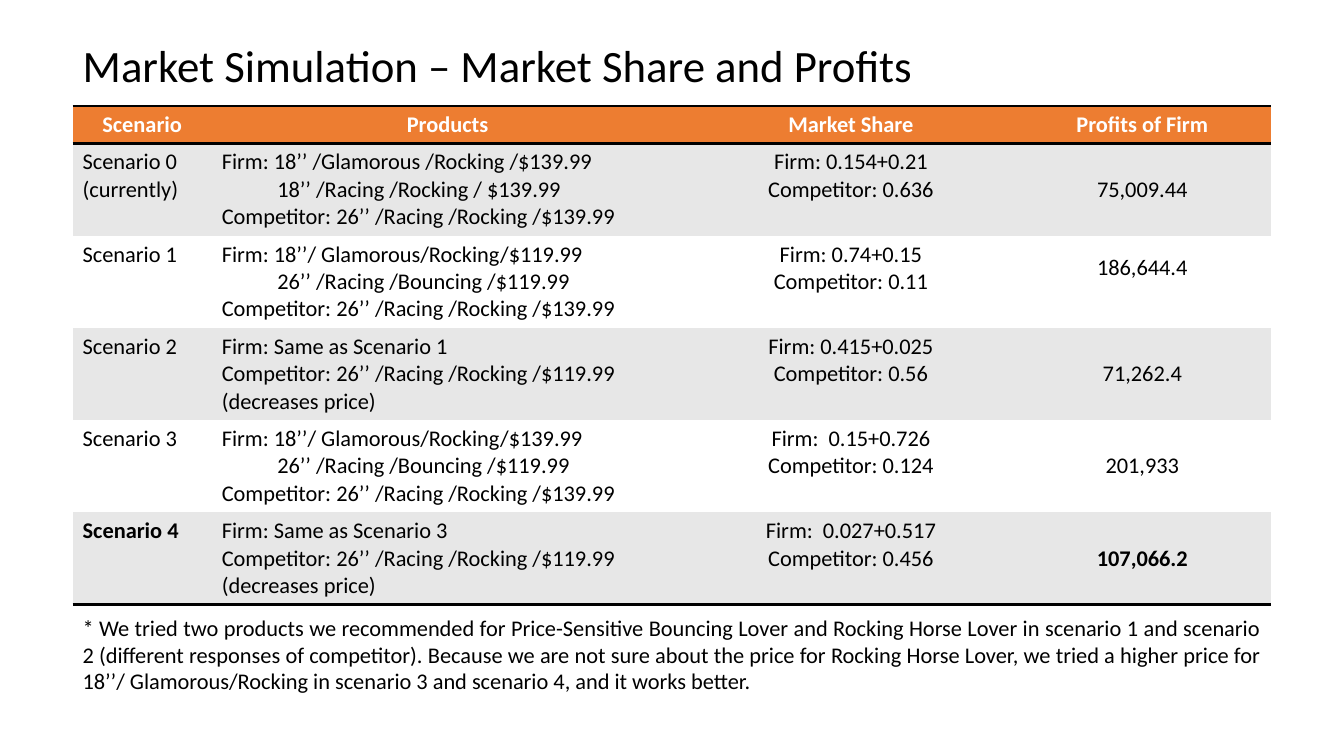
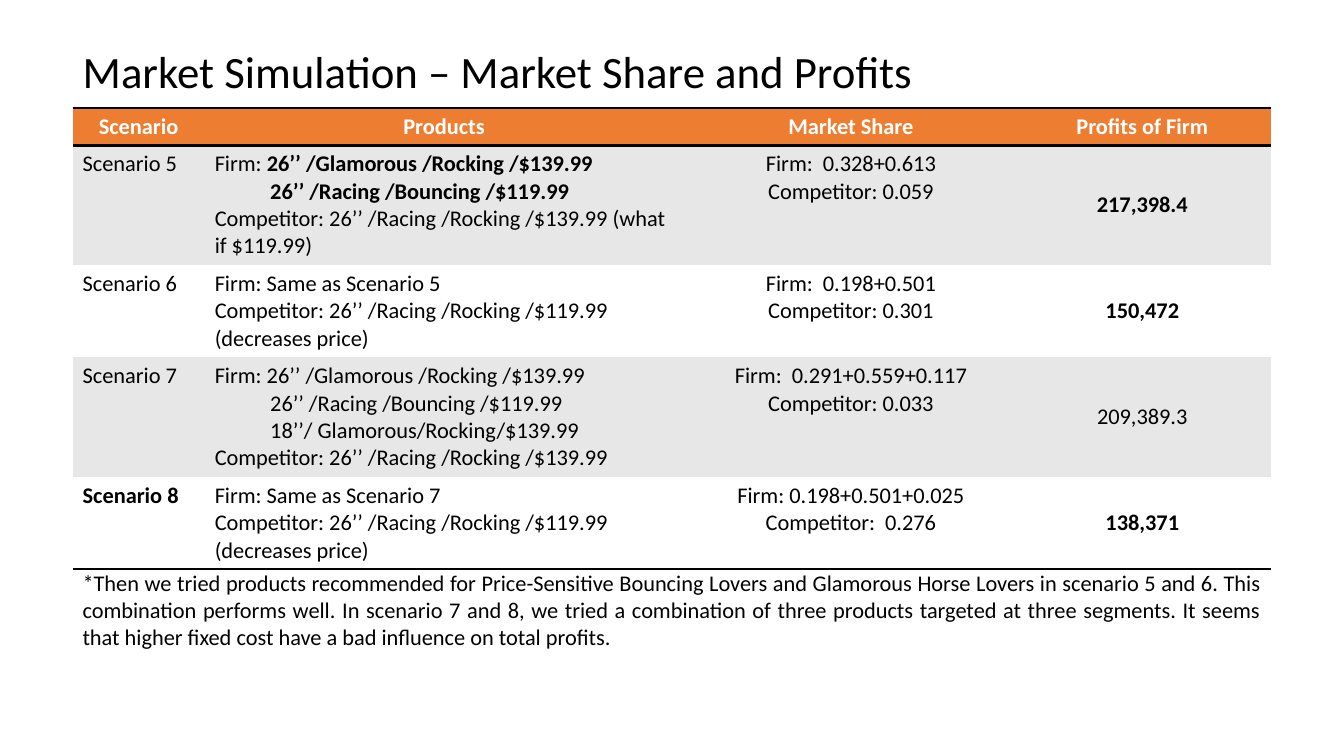
import pptx
import pptx.util
import pptx.dml.color
import pptx.enum.text
import pptx.oxml
import pptx.oxml.ns

Inches, Pt = pptx.util.Inches, pptx.util.Pt
ALIGN = pptx.enum.text.PP_ALIGN
ANCHOR = pptx.enum.text.MSO_ANCHOR
FIT = pptx.enum.text.MSO_AUTO_SIZE

# Shared look
FONT = "Calibri"
BLACK, WHITE, ORANGE, GREY = "000000", "FFFFFF", "ED7D31", "E7E7E7"
LEFT, WIDTH = 0.72, 11.89
LINE, PAD = 0.27, 0.1          # height of a text line, padding of a row
INDENT = 0.55
PLAIN = "{2D5ABB26-0587-4C30-8999-92F81FD0307C}"   # table style with no grid
TITLE = "Market Simulation – Market Share and Profits"
HEADS = ["Scenario", "Products ", "Market Share", "Profits of Firm"]
SIDES = [ALIGN.LEFT, ALIGN.LEFT, ALIGN.CENTER, ALIGN.CENTER]

# Product lines used more than once; ">" indents, "**" switches bold
RIVAL = "Competitor: 26’’ /Racing /Rocking /$139.99"
CUT = "Competitor: 26’’ /Racing /Rocking /$119.99 (decreases price)"
BOUNCE = ">26’’ /Racing /Bouncing /$119.99"

# Each row: line count, scenario, products, shares, profit
FIRST = dict(
    title=(0.22, 0.91), top=1.05, cols=[1.38, 4.73, 3.22, 2.56], rows=[
        (3, "Scenario 0 (currently)",
         ["Firm: 18’’ /Glamorous /Rocking /$139.99",
          ">18’’ /Racing /Rocking / $139.99", RIVAL],
         ["Firm: 0.154+0.21", "Competitor: 0.636"], "75,009.44"),
        (3, "Scenario 1",
         ["Firm: 18’’/ Glamorous/Rocking/$119.99", BOUNCE, RIVAL],
         ["Firm: 0.74+0.15", "Competitor: 0.11"], "186,644.4"),
        (3, "Scenario 2", ["Firm: Same as Scenario 1", CUT],
         ["Firm: 0.415+0.025", "Competitor: 0.56"], "71,262.4"),
        (3, "Scenario 3",
         ["Firm: 18’’/ Glamorous/Rocking/$139.99", BOUNCE, RIVAL],
         ["Firm:  0.15+0.726", "Competitor: 0.124"], "201,933"),
        (3, "**Scenario 4", ["Firm: Same as Scenario 3", CUT],
         ["Firm:  0.027+0.517", "Competitor: 0.456"], "**107,066.2"),
    ],
    low=6.04,
    note="* We tried two products we recommended for Price-Sensitive Bouncing "
         "Lover and Rocking Horse Lover in scenario 1 and scenario 2 (different "
         "responses of competitor). Because we are not sure about the price for "
         "Rocking Horse Lover, we tried a higher price for 18’’/ "
         "Glamorous/Rocking in scenario 3 and scenario 4, and it works better.")

SECOND = dict(
    title=(0.39, 0.68), top=1.07, cols=[1.31, 4.8, 3.22, 2.56], rows=[
        (4, "Scenario 5",
         ["Firm: **26’’ /Glamorous /Rocking /$139.99",
          ">**26’’ /Racing /Bouncing /$119.99", RIVAL + " (what if $119.99)"],
         ["Firm:  0.328+0.613", "Competitor: 0.059"], "**217,398.4"),
        (3, "Scenario 6", ["Firm: Same as Scenario 5", CUT],
         ["Firm:  0.198+0.501", "Competitor: 0.301"], "**150,472"),
        (4, "Scenario 7",
         ["Firm: 26’’ /Glamorous /Rocking /$139.99", BOUNCE,
          ">18’’/ Glamorous/Rocking/$139.99", RIVAL],
         ["Firm:  0.291+0.559+0.117", "Competitor: 0.033"], "209,389.3"),
        (3, "**Scenario 8", ["Firm: Same as Scenario 7", CUT],
         ["Firm: 0.198+0.501+0.025", "Competitor:  0.276"], "**138,371"),
    ],
    low=5.6,
    note="*Then we tried products recommended for Price-Sensitive Bouncing "
         "Lovers and Glamorous Horse Lovers in scenario 5 and 6. This "
         "combination performs well. In scenario 7 and 8, we tried a "
         "combination of three products targeted at three segments. It seems "
         "that higher fixed cost have a bad influence on total profits.")


def style(item, **form):
    """Set each format value on the item."""
    for name, value in form.items():
        setattr(item, name, value)


def paint(part, color):
    """Give a fill or a font a solid colour."""
    if hasattr(part, "solid"):
        part.solid()
        part.fore_color.rgb = pptx.dml.color.RGBColor.from_string(color)
    else:
        part.color.rgb = pptx.dml.color.RGBColor.from_string(color)


def write(frame, lines, size=16, color=BLACK, **form):
    """Write marked-up lines as paragraphs."""
    for num, line in enumerate(lines):
        para = frame.paragraphs[0] if num == 0 else frame.add_paragraph()
        style(para, **form)
        if line.startswith(">"):
            props = para._p.get_or_add_pPr()
            props.set("marL", str(Inches(INDENT)))
            props.set("indent", "0")
        for turn, text in enumerate(line.lstrip(">").split("**")):
            if text:
                run = para.add_run()
                run.text = text
                style(run.font, name=FONT, size=Pt(size), bold=turn % 2 == 1)
                paint(run.font, color)


def rule(cell, *edges):
    """Draw 2 pt black borders, edges given in T, B order."""
    props = cell._tc.get_or_add_tcPr()
    for spot, edge in enumerate(edges):
        props.insert(spot, pptx.oxml.parse_xml(
            f'<a:ln{edge} {pptx.oxml.ns.nsdecls("a")} w="{Pt(2)}"><a:solidFill>'
            f'<a:srgbClr val="{BLACK}"/></a:solidFill></a:ln{edge}>'))


def add_title(slide, top, height):
    shape = slide.shapes.title
    style(shape, left=Inches(LEFT), top=Inches(top),
          width=Inches(11.5), height=Inches(height))
    style(shape.text_frame, word_wrap=True, auto_size=FIT.NONE,
          vertical_anchor=ANCHOR.MIDDLE)
    write(shape.text_frame, [TITLE], 32, alignment=ALIGN.LEFT, line_spacing=0.9)


def add_grid(slide, top, cols, rows):
    highs = [PAD + LINE * count for count in [1] + [row[0] for row in rows]]
    frame = slide.shapes.add_table(
        len(highs), len(cols), Inches(LEFT), Inches(top),
        Inches(WIDTH), Inches(sum(highs)))
    table = frame.table
    style(table, first_row=False, horz_banding=False)
    table._tbl.tblPr.find(pptx.oxml.ns.qn("a:tableStyleId")).text = PLAIN
    for col, width in zip(table.columns, cols):
        col.width = Inches(width)
    for row, high in zip(table.rows, highs):
        row.height = Inches(high)

    # Header row
    for col, head in enumerate(HEADS):
        cell = table.cell(0, col)
        paint(cell.fill, ORANGE)
        rule(cell, "T", "B")
        write(cell.text_frame, ["**" + head], color=WHITE, alignment=ALIGN.CENTER)

    # Scenario rows
    for num, (_, name, goods, shares, gain) in enumerate(rows, 1):
        for col, lines in enumerate([[name], goods, shares, [gain]]):
            cell = table.cell(num, col)
            paint(cell.fill, GREY if num % 2 else WHITE)
            if num == len(rows):
                rule(cell, "B")
            write(cell.text_frame, lines, alignment=SIDES[col])
        cell.vertical_anchor = ANCHOR.MIDDLE
    return table


def add_note(slide, top, text):
    box = slide.shapes.add_textbox(
        Inches(LEFT), Inches(top), Inches(WIDTH), Inches(0.91))
    style(box.text_frame, word_wrap=True, auto_size=FIT.SHAPE_TO_FIT_TEXT)
    write(box.text_frame, [text], alignment=ALIGN.JUSTIFY)


def add_page(deck, page):
    slide = deck.slides.add_slide(deck.slide_layouts[5])
    add_title(slide, *page["title"])
    table = add_grid(slide, page["top"], page["cols"], page["rows"])
    add_note(slide, page["low"], page["note"])
    return table


def main():
    deck = pptx.Presentation()
    style(deck, slide_width=Inches(13.33), slide_height=Inches(7.5))
    table = add_page(deck, FIRST)
    # The profit of scenario 1 sits half a line above the middle
    table.cell(2, 3).margin_bottom = Inches(0.05 + LINE)
    add_page(deck, SECOND)
    deck.save("out.pptx")


if __name__ == "__main__":
    main()
